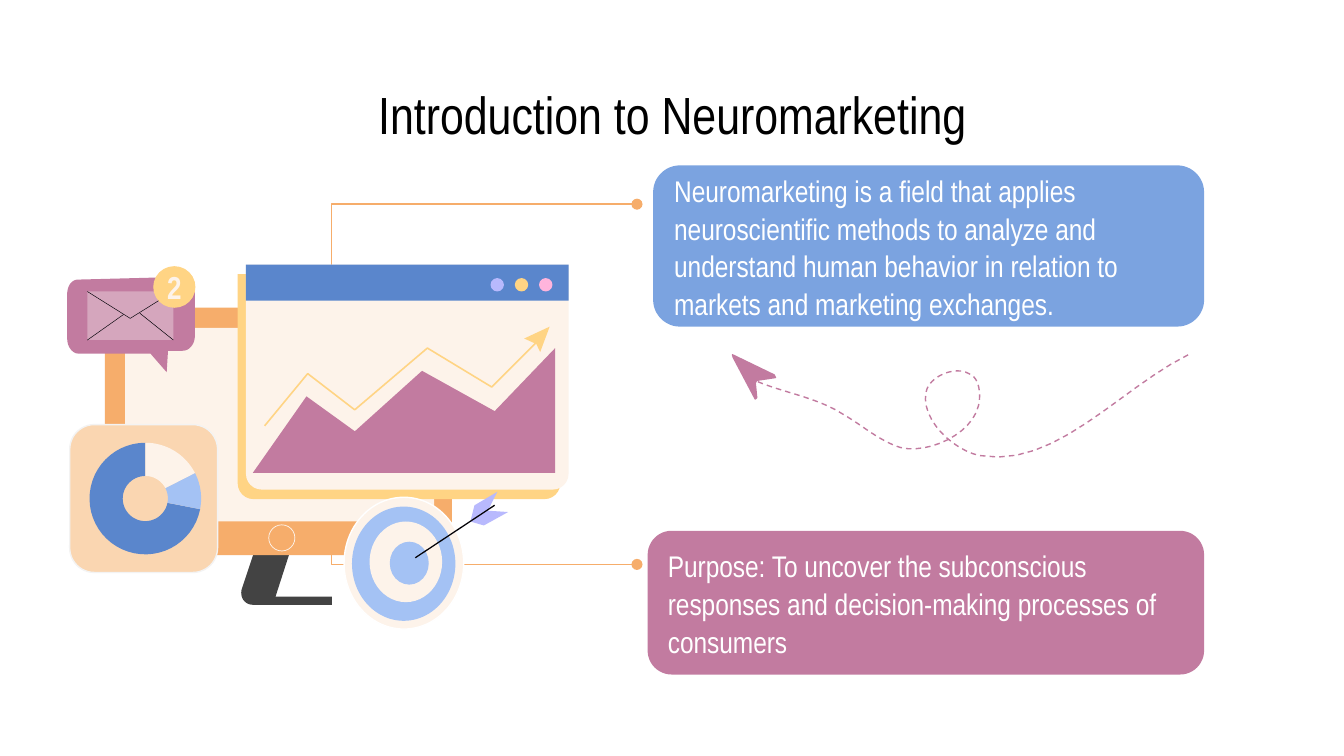
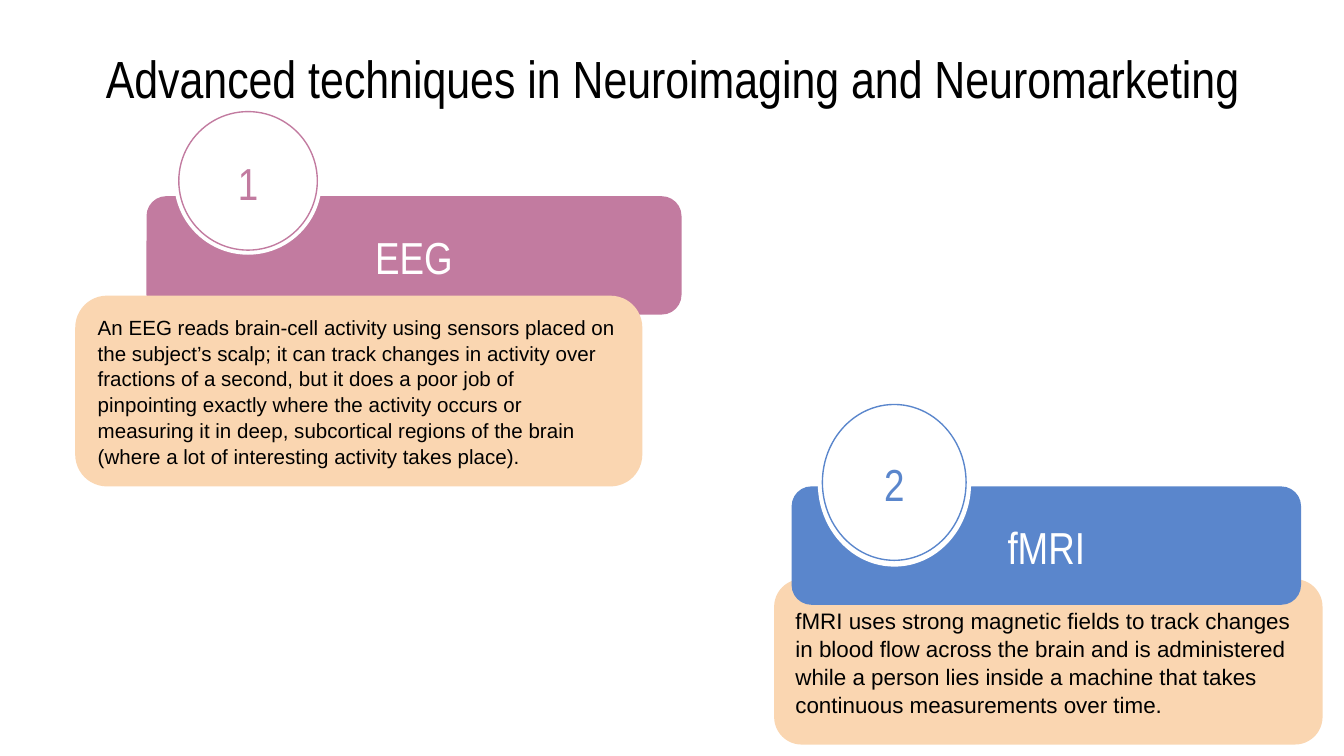
import math

from lxml import etree
from pptx import Presentation
from pptx import util as u
from pptx.dml.color import RGBColor
from pptx.enum import dml, shapes, text
from pptx.oxml.ns import qn


class Theme:
    white, black, ink = "FFFFFF", "000000", "040308"
    blue, soft_blue, pale_blue = "5A86CC", "7BA3E0", "A4C2F4"
    mauve, pale_mauve = "C27BA0", "D5A6BD"
    orange, peach, cream, yellow = "F6AD6B", "FAD6B1", "FDF3EA", "FFD484"
    lilac, pink, charcoal, mist = "B8B9FD", "FFB4DC", "434343", "F3F3F3"
    display, body = "Arial Narrow", "Arial"
    title_size, heading_size, card_size, badge_size = 28, 24, 16, 17
    eeg_size, fmri_size = 11, 12
    leading, inset, line = 1.05, 7.2, 0.75


def paint(shape, fill=None, line=None, width=Theme.line):
    """Give a shape a flat fill and outline; None leaves either one out."""
    shape.shadow.inherit = False
    if fill:
        shape.fill.solid()
        shape.fill.fore_color.rgb = RGBColor.from_string(fill)
    else:
        shape.fill.background()
    if line:
        shape.line.color.rgb = RGBColor.from_string(line)
        shape.line.width = u.Pt(width)
    else:
        shape.line.fill.background()
    return shape


def trace(page, steps, closed=True):
    """Draw an outline; a step is a corner (x, y) or a Bezier of six numbers."""
    points = [steps[0]]
    for step in steps[1:]:
        if len(step) == 2:
            points.append(step)
            continue
        curve = [points[-1], step[:2], step[2:4], step[4:]]
        for i in range(1, 13):
            t = i / 12
            weights = [(1 - t) ** 3, 3 * t * (1 - t) ** 2, 3 * t * t * (1 - t), t ** 3]
            points.append([sum(w * p[axis] for w, p in zip(weights, curve)) for axis in (0, 1)])
    points = [(u.Pt(x), u.Pt(y)) for x, y in points]
    builder = page.shapes.build_freeform(*points[0])
    builder.add_line_segments(points[1:], close=closed)
    return builder.convert_to_shape()


ROUNDED = shapes.MSO_SHAPE.ROUNDED_RECTANGLE
OVAL = shapes.MSO_SHAPE.OVAL
RECTANGLE = shapes.MSO_SHAPE.RECTANGLE
TWO_ROUNDED = shapes.MSO_SHAPE.ROUND_2_SAME_RECTANGLE
LEFT, CENTER = text.PP_ALIGN.LEFT, text.PP_ALIGN.CENTER

deck = Presentation()
deck.slide_width, deck.slide_height = u.Pt(720), u.Pt(405)

# Titles and text boxes: kind, place, fill, line, words, size, font, colour, alignment
CARD = (Theme.card_size, Theme.display, Theme.white, LEFT)
HEADING = (Theme.heading_size, Theme.display, Theme.white, CENTER)
HALO = ("", Theme.heading_size, Theme.display, Theme.white, CENTER)
contents = [
    ("Introduction to Neuromarketing", (36, 35.3, 648, 45.4), [
        (ROUNDED, (349.9, 88.6, 295.2, 86.4), Theme.soft_blue, None,
         "Neuromarketing is a field that applies neuroscientific methods to analyze and "
         "understand human behavior in relation to markets and marketing exchanges.", *CARD),
        (ROUNDED, (347, 284.4, 298.1, 77), Theme.mauve, None,
         "Purpose: To uncover the subconscious responses and decision-making "
         "processes of consumers", *CARD),
    ]),
    ("Advanced techniques in Neuroimaging and Neuromarketing", (23.8, 15.8, 672.5, 45.4), [
        (ROUNDED, (78.5, 105.1, 286.6, 63.4), Theme.mauve, None, "EEG", *HEADING),
        (ROUNDED, (40.3, 158.4, 303.8, 102.2), Theme.peach, None,
         "An EEG reads brain-cell activity using sensors placed on the subject’s scalp; it can "
         "track changes in activity over fractions of a second, but it does a poor job of "
         "pinpointing exactly where the activity occurs or measuring it in deep, subcortical "
         "regions of the brain (where a lot of interesting activity takes place).",
         Theme.eeg_size, Theme.body, Theme.black, LEFT),
        (ROUNDED, (414.7, 310.3, 293.8, 88.6), Theme.peach, None,
         "fMRI uses strong magnetic fields to track changes in blood flow across the brain and "
         "is administered while a person lies inside a machine that takes continuous "
         "measurements over time.",
         Theme.fmri_size, Theme.body, Theme.black, LEFT),
        (ROUNDED, (424.1, 260.6, 272.9, 63.4), Theme.blue, None, "fMRI", *HEADING),
        (OVAL, (93.6, 57.6, 78.5, 78.5), Theme.white, Theme.white, *HALO),
        (OVAL, (95.8, 59.8, 74.2, 74.2), Theme.white, Theme.mauve, "1",
         Theme.heading_size, Theme.display, Theme.mauve, CENTER),
        (OVAL, (438.5, 214.6, 81.4, 88.6), Theme.white, Theme.white, *HALO),
        (OVAL, (440.6, 216.7, 77, 83.5), Theme.white, Theme.blue, "2",
         Theme.heading_size, Theme.display, Theme.blue, CENTER),
    ]),
]
for heading, place, boxes in contents:
    page = deck.slides.add_slide(deck.slide_layouts[5])
    title = page.shapes.title
    title.left, title.top, title.width, title.height = map(u.Pt, place)
    written = [(title, heading, Theme.title_size, Theme.display, Theme.black, CENTER)]
    for kind, at, fill, line, *wording in boxes:
        box = paint(page.shapes.add_shape(kind, *map(u.Pt, at)), fill, line)
        if wording[0]:
            written.append((box, *wording))
    for box, words, size, font, colour, align in written:
        frame = box.text_frame
        frame.text = words
        frame.word_wrap = True
        frame.auto_size = text.MSO_AUTO_SIZE.NONE
        frame.vertical_anchor = text.MSO_ANCHOR.TOP if box is title else text.MSO_ANCHOR.MIDDLE
        frame.margin_left = frame.margin_right = u.Pt(Theme.inset)
        frame.margin_top = frame.margin_bottom = u.Pt(Theme.inset)
        para = frame.paragraphs[0]
        para.alignment, para.line_spacing = align, Theme.leading
        span = para.runs[0]
        span.font.size, span.font.name = u.Pt(size), font
        span.font.color.rgb = RGBColor.from_string(colour)

# Callout lines from the computer to the two cards, then the computer itself
page = deck.slides[0]
connectors = []
for dot_y, screen_y in ((109.4, 201.6), (302.4, 245.5)):
    callout = page.shapes.add_connector(
        shapes.MSO_CONNECTOR.ELBOW, *map(u.Pt, (341.3, dot_y, 177.8, screen_y)))
    callout.line.color.rgb = RGBColor.from_string(Theme.orange)
    callout.line.width = u.Pt(Theme.line)
    outline = callout.line._get_or_add_ln()
    etree.SubElement(outline, qn("a:headEnd"), type="oval")
    callout._element.spPr.find(qn("a:prstGeom")).set("prst", "bentConnector2")
    connectors.append(callout)

stand = [(136.8, 293.8), (129.6, 315.4), (128.2, 319.7, 131, 324, 135.4, 324),
         (177.8, 324), (177.8, 319.7), (147.6, 319.7), (155.5, 295.2)]
paint(trace(page, stand), Theme.charcoal)

# kind, place, fill, line, line width, corner adjustments
computer = [
    (TWO_ROUNDED, (56.2, 164.9, 185.8, 132.5), Theme.orange, None, 0, (0.04, 0)),
    (RECTANGLE, (67, 175.7, 165.6, 103.7), Theme.cream, None, 0, ()),
    (OVAL, (144, 281.2, 14, 14), None, Theme.cream, 0.4, ()),
    (TWO_ROUNDED, (127.4, 146.9, 172.8, 120.5), Theme.yellow, None, 0, (0, 0.07)),
    (TWO_ROUNDED, (131.8, 141.8, 172.8, 120.5), Theme.cream, None, 0, (0, 0.07)),
    (RECTANGLE, (131.8, 141.8, 172.8, 19.4), Theme.blue, None, 0, ()),
]
for i, colour in enumerate((Theme.lilac, Theme.yellow, Theme.pink)):
    computer.append((OVAL, (262.8 + 13 * i, 149, 7.2, 7.2), colour, None, 0, ()))
for kind, at, fill, line, width, corners in computer:
    part = paint(page.shapes.add_shape(kind, *map(u.Pt, at)), fill, line, width)
    for i, corner in enumerate(corners):
        part.adjustments[i] = corner

# Growth graph in the window
area = [(297.4, 186.5), (265, 220.3), (226.1, 198.7), (190.1, 231.1),
        (164.2, 212.4), (135.4, 253.4), (297.4, 253.4)]
trend = [(290.9, 180), (263.5, 207.4), (229, 186.5), (190.1, 219.6),
         (164.9, 200.2), (141.8, 228.2)]
trend_tip = [(294.5, 175), (280.8, 181.4), (287.3, 184.3), (289.4, 188.6)]
paint(trace(page, area), Theme.mauve)
paint(trace(page, trend, closed=False), None, Theme.yellow, 0.84)
paint(trace(page, trend_tip), Theme.yellow)

# Message bubble with envelope and badge
bubble = [(98.6, 148.3), (41.8, 149.8), (38.2, 149.8, 36, 153.4, 36, 157.7),
          (36, 181.4), (36, 185.8, 38.9, 189.4, 41.8, 189.4),
          (80.6, 189.4), (89.3, 199.4), (90, 187.9), (97.9, 187.9),
          (101.5, 187.9, 104.4, 184.3, 104.4, 180),
          (104.4, 156.2), (104.4, 151.9, 101.5, 148.3, 98.6, 148.3)]
flap = [(46.8, 156.2), (69.8, 170.6), (92.9, 156.2)]
paint(trace(page, bubble), Theme.mauve)
paint(page.shapes.add_shape(RECTANGLE, *map(u.Pt, (46.8, 156.2, 46.1, 25.9))), Theme.pale_mauve)
paint(trace(page, flap, closed=False), None, Theme.ink, 0.25)
strokes = [((46.8, 182.2, 66.2, 168.5), 0.25), ((74.9, 167.8, 92.9, 182.2), 0.25)]

# Target rings and the arrow's feathers
rings = [
    ((184.3, 266.4, 64.1, 70.6), Theme.cream, Theme.white),
    ((188.6, 271.4, 55.4, 61.2), Theme.pale_blue, None),
    ((198, 279.4, 38.9, 43.2), Theme.cream, None),
    ((208.8, 290.2, 20.9, 23), Theme.pale_blue, None),
]
for at, fill, line in rings:
    paint(page.shapes.add_shape(OVAL, *map(u.Pt, at)), fill, line)
feathers = [(266.4, 263.5), (254.2, 270.7), (252, 279.4),
            (259.2, 281.5), (272.2, 274.3), (261.4, 273.6)]
paint(trace(page, feathers), Theme.lilac)
strokes.append(((222.5, 298.8, 265, 270.7), 0.69))

for ends, width in strokes:
    stroke = page.shapes.add_connector(shapes.MSO_CONNECTOR.STRAIGHT, *map(u.Pt, ends))
    stroke.line.color.rgb = RGBColor.from_string(Theme.ink)
    stroke.line.width = u.Pt(width)
    connectors.append(stroke)
for connector in connectors:
    etree.SubElement(connector._element.spPr, qn("a:effectLst"))

badge = paint(page.shapes.add_shape(OVAL, *map(u.Pt, (82.1, 142.6, 22.6, 22.3))), Theme.yellow)
frame = badge.text_frame
frame.text = "2"
frame.word_wrap = False
frame.vertical_anchor = text.MSO_ANCHOR.MIDDLE
frame.margin_left = frame.margin_right = frame.margin_top = frame.margin_bottom = 0
frame.paragraphs[0].alignment = CENTER
span = frame.paragraphs[0].runs[0]
span.font.size, span.font.name, span.font.bold = u.Pt(Theme.badge_size), Theme.display, True
span.font.color.rgb = RGBColor.from_string(Theme.cream)

# Ring icon: slices run clockwise from the top, in degrees
paint(page.shapes.add_shape(ROUNDED, *map(u.Pt, (37.4, 227.5, 79.2, 79.2))),
      Theme.peach, Theme.mist)
for start, end, colour in ((101, 360, Theme.blue), (0, 63, Theme.cream), (63, 101, Theme.pale_blue)):
    angles = [math.radians(start + (end - start) * i / 40) for i in range(41)]
    arcs = [(29.9, angles), (12.1, angles[::-1])]
    slice_edge = [(77.9 + radius * math.sin(angle), 267.1 - radius * math.cos(angle))
                  for radius, turn in arcs for angle in turn]
    paint(trace(page, slice_edge), colour)

# Paper-plane pointer and its dashed trail
pointer = [(392.4, 190.1), (414.7, 200.9), (415.4, 202.3), (405.4, 203.8),
           (404.6, 205.2), (405.4, 213.1), (404.6, 213.8), (392.8, 191.5)]
trail = [(636.5, 190.1), (599, 208.8, 565.2, 251.3, 524.9, 244.1),
         (510.5, 241.2, 493.2, 224.6, 496.1, 210.2),
         (497.5, 201.6, 511.9, 195.8, 519.1, 200.2),
         (524.9, 202.3, 525.6, 211.7, 524.2, 217.4),
         (520.6, 232.6, 497.5, 243.4, 482.4, 239.8),
         (470.9, 236.2, 461.5, 227.5, 451.4, 221.8),
         (435.6, 211.7, 416.2, 210.2, 399.6, 201.6)]
paint(trace(page, pointer), Theme.mauve, Theme.mauve)
dashes = paint(trace(page, trail, closed=False), None, Theme.mauve)
dashes.line.dash_style = dml.MSO_LINE.DASH

deck.save("out.pptx")
